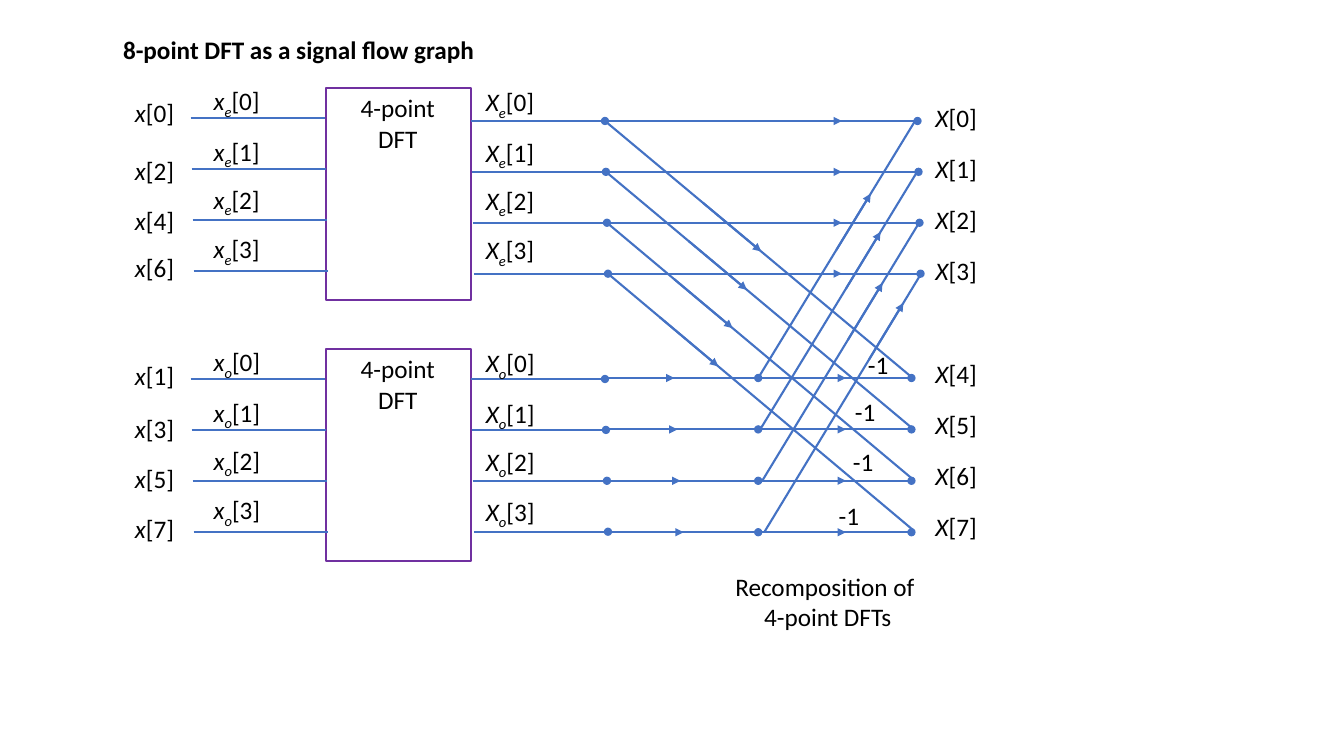
from lxml.etree import SubElement
from pptx import Presentation
from pptx.dml.color import RGBColor
from pptx.enum.shapes import MSO_CONNECTOR as Link, MSO_SHAPE as Shape
from pptx.enum.text import MSO_ANCHOR as Anchor, MSO_AUTO_SIZE as Fit, PP_ALIGN as Align
from pptx.oxml.ns import qn
from pptx.util import Inches, Pt

BLUE = RGBColor(0x44, 0x72, 0xC4)
PURPLE = RGBColor(0x70, 0x30, 0xA0)
BLACK = RGBColor(0, 0, 0)
FONT = "Calibri"
ROW = 0.505
STEP = 0.01
TEXT = 0.4
TAGS = (0, 0.5, 0.98, 1.47)


def style(par, bold=False):
    font = par.font
    font.name, font.size, font.bold = FONT, Pt(18), bold
    font.color.rgb = BLACK


def wire(slide, x1, y1, x2, y2, tip=None):
    line = slide.shapes.add_connector(Link.STRAIGHT, *map(Inches, (x1, y1, x2, y2)))
    line.line.color.rgb = BLUE
    line.line.width = Pt(1.5)
    if tip:
        SubElement(line.line._get_or_add_ln(), qn("a:tailEnd"), type=tip)
    SubElement(line._element.spPr, qn("a:effectLst"))


def slant(slide, x1, y1, x2, y2, start, share):
    wire(slide, x1, y1, x2, y2)
    run, rise = x2 - x1, y2 - y1
    stop = start + share
    wire(slide, x1 + start * run, y1 + start * rise,
         x1 + stop * run, y1 + stop * rise, "triangle")


def label(slide, x, y, w, lines, align=Align.LEFT):
    height = TEXT + 0.31 * (len(lines) - 1)
    frame = slide.shapes.add_textbox(*map(Inches, (x, y, w, height))).text_frame
    frame.word_wrap = False
    frame.text = "\n".join(lines)
    for par in frame.paragraphs:
        par.alignment = align
        style(par)


def signal(slide, x, y, name, index, sub=""):
    width = 0.75 if sub else 0.65
    frame = slide.shapes.add_textbox(*map(Inches, (x, y, width, TEXT))).text_frame
    frame.word_wrap = False
    par = frame.paragraphs[0]
    par.alignment = Align.LEFT
    style(par)
    for part in filter(None, (name, sub, f"[{index}]")):
        run = par.add_run()
        run.text = part
        run.font.italic = part in (name, sub)
        if part == sub:
            run._r.get_or_add_rPr().set("baseline", "-25000")


def heading(slide, x, y, w, h):
    title = slide.shapes.title
    title.left, title.top, title.width, title.height = map(Inches, (x, y, w, h))
    frame = title.text_frame
    frame.text = "8-point DFT as a signal flow graph"
    frame.word_wrap = False
    frame.auto_size = Fit.NONE
    frame.vertical_anchor = Anchor.TOP
    par = frame.paragraphs[0]
    par.alignment = Align.LEFT
    par.line_spacing = 1.0
    style(par, bold=True)


def bank(slide, x, y, w, h, sub, first, names, drop):
    box = slide.shapes.add_shape(Shape.RECTANGLE, *map(Inches, (x, y, w, h)))
    box.shadow.inherit = False
    box.fill.background()
    box.line.color.rgb = PURPLE
    box.line.width = Pt(1.5)
    label(slide, x + 0.24, y, 0.95, ("4-point", "DFT"), Align.CENTER)
    for i, (name, tag) in enumerate(zip(names, TAGS)):
        shift = i * STEP
        level = y + 0.3 + i * ROW
        wire(slide, x - 1.34 + shift, level, x - 0.01 + shift, level)
        wire(slide, x + w + shift, level + drop, x + w + 1.33 + shift, level + drop, "oval")
        signal(slide, x - 1.99, y + name, "x", first + 2 * i)
        signal(slide, x - 1.21, y - 0.07 + tag, "x", i, sub)
        signal(slide, x + w + 0.05, y - 0.06 + tag, "X", i, sub)


def merge(slide, x, y, w):
    low = y + 2.55
    mid = x + w / 2 - 0.03
    end = x + w - 0.06
    downs = (0.32, 0.27, 0.22, 0.17)
    ups = (0.5, 0.55, 0.55, 0.67)
    signs = ((2.51, 2.22), (2.38, 2.68), (2.36, 3.18), (2.22, 3.71))
    for i, (down, up, sign) in enumerate(zip(downs, ups, signs)):
        shift = i * STEP
        top = y + i * ROW
        base = low + i * 0.51
        wire(slide, x + shift, top, x + w + shift, top, "oval")
        wire(slide, x + 1.7, top, x + 2.35, top, "triangle")
        wire(slide, x + shift, base, mid, base, "oval")
        wire(slide, x + 0.02 + 3 * shift, base, x + 0.69 + 3 * shift, base, "triangle")
        wire(slide, mid, base, end, base, "oval")
        wire(slide, x + 1.74, base, x + 2.39, base, "triangle")
        slant(slide, x + shift, top, end + shift, base - 0.01, down, 0.19)
        slant(slide, mid + 2 * shift, base, x + w - 0.03 + 2 * shift, top + 0.01, up, 0.22)
        label(slide, x + sign[0], y + sign[1], 0.41, ("-1",))
        signal(slide, x + w + 0.08, top - 0.23, "X", i)
        signal(slide, x + w + 0.08, low - 0.24 + i * ROW, "X", i + 4)
    label(slide, x + 1.18, y + 4.42, 2.06, ("Recomposition of ", "4-point DFTs"), Align.CENTER)


def main():
    deck = Presentation()
    deck.slide_width, deck.slide_height = Inches(13.33), Inches(7.5)
    slide = deck.slides.add_slide(deck.slide_layouts[5])
    heading(slide, 1.12, 0.29, 3.72, TEXT)
    bank(slide, 3.23, 0.87, 1.44, 2.11, "e", 0, (0.05, 0.62, 1.12, 1.58), 0.03)
    bank(slide, 3.23, 3.46, 1.44, 2.11, "o", 1, (0.07, 0.59, 1.09, 1.58), 0)
    merge(slide, 6, 1.2, 3.1)
    deck.save("out.pptx")


if __name__ == "__main__":
    main()
